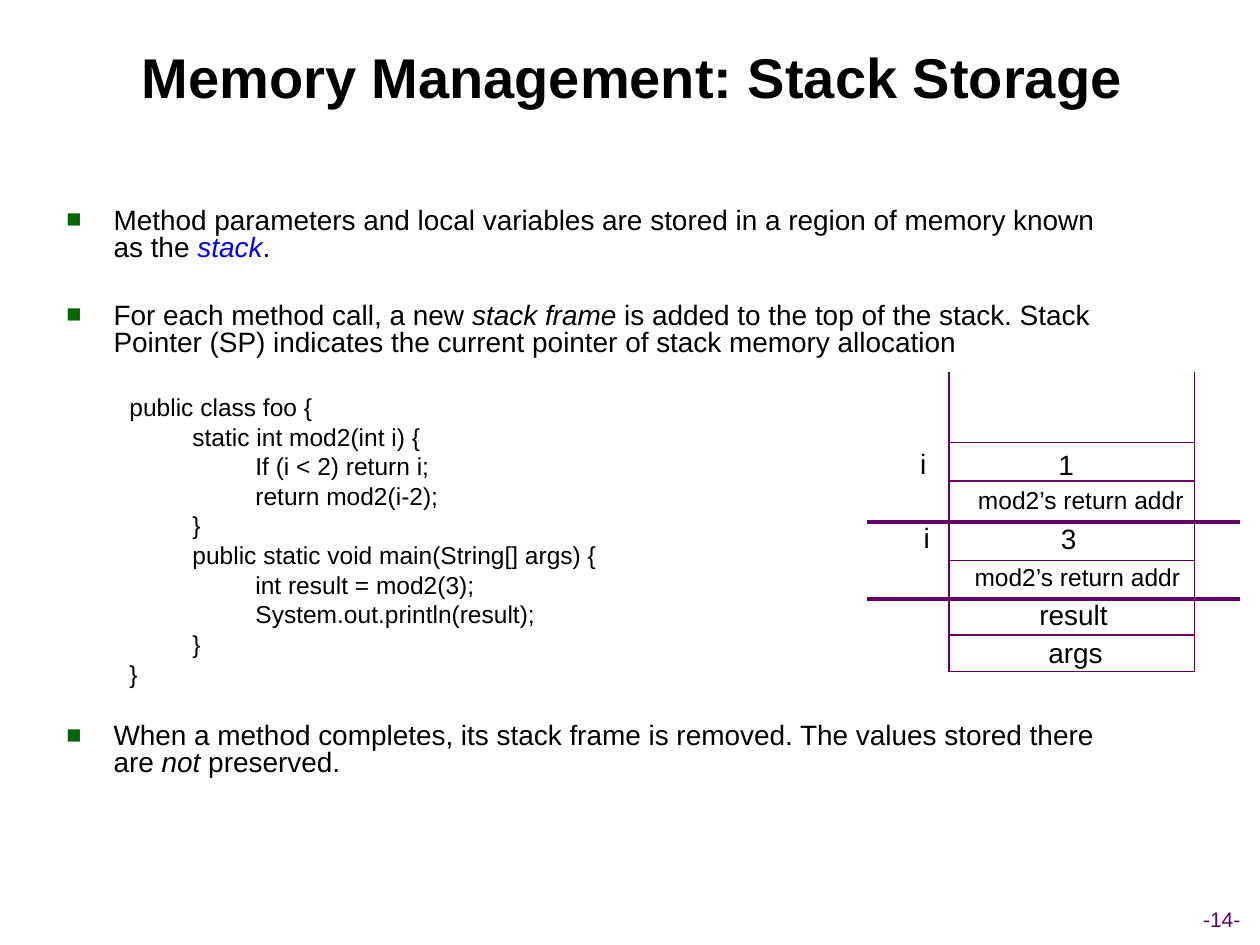
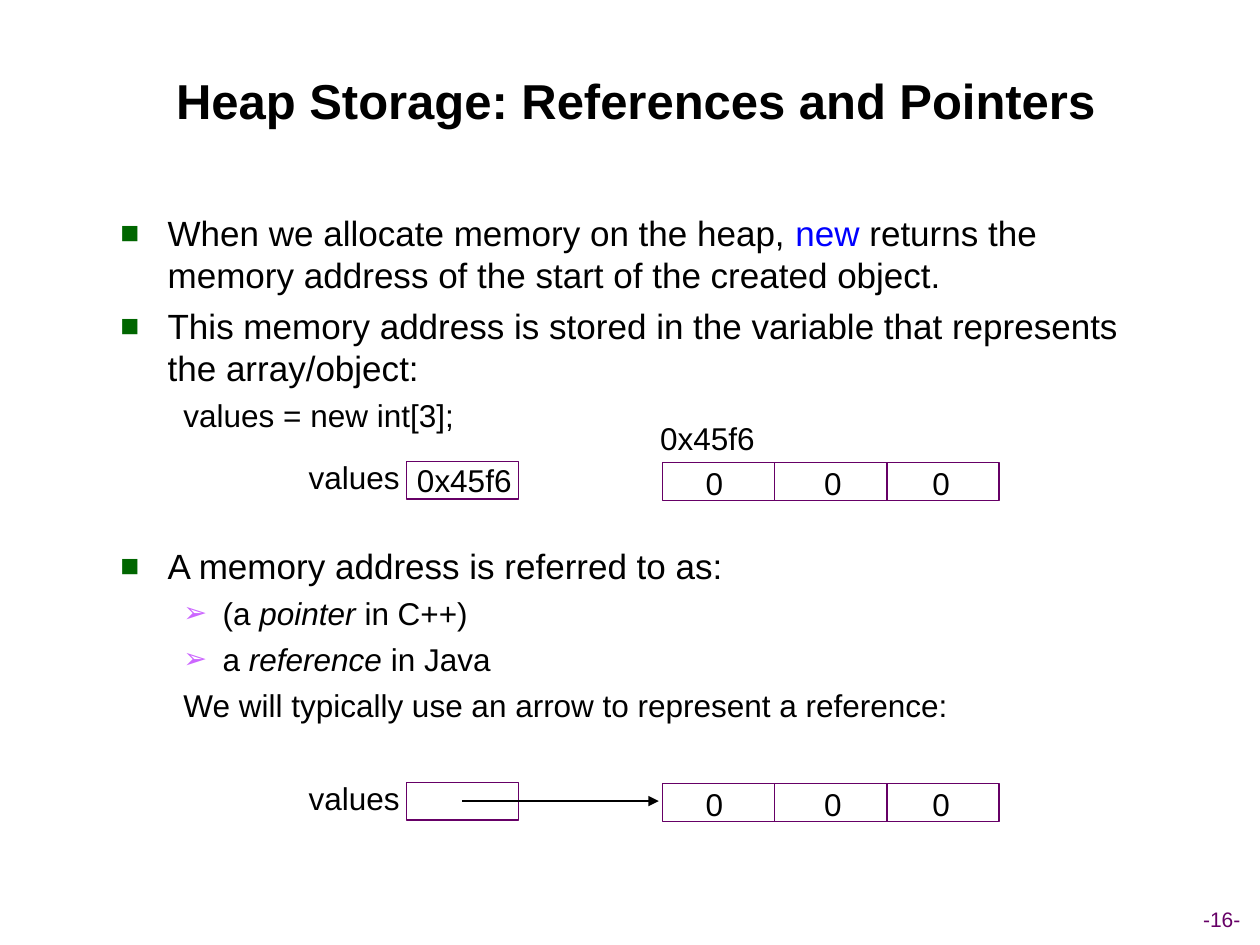
from lxml import etree
from pptx import Presentation
from pptx import util as u
from pptx.dml.color import RGBColor
from pptx.enum import shapes, text
from pptx.oxml.ns import qn

FONT = "Arial"
COLOURS = {
    "text": "000000",
    "keyword": "0000FF",
    "line": "660066",
    "square": "006600",
    "arrow": "CC66FF",
}
BULLETS = {"square": ("■", 0.95, 0.95), "arrow": ("➢", 2.06, 0.79)}
CODE_LEFT, CODE_STEP = 1.27, 1.27
KEYWORD = {"colour": "keyword"}
ITALIC = {"italic": True}


def write(paragraph, runs, size, colour="text", bold=False):
    for content, changes in runs:
        run = paragraph.add_run()
        run.text = content
        formats = {"name": FONT, "size": u.Pt(size), "bold": bold,
                   "italic": changes.get("italic", False)}
        for name, value in formats.items():
            setattr(run.font, name, value)
        run.font.color.rgb = RGBColor.from_string(COLOURS[changes.get("colour", colour)])


def draw_line(slide, left, top, right, bottom, width=0.75, colour="line"):
    line = slide.shapes.add_connector(
        shapes.MSO_CONNECTOR.STRAIGHT, u.Cm(left), u.Cm(top), u.Cm(right), u.Cm(bottom))
    line.line.width = u.Pt(width)
    line.line.color.rgb = RGBColor.from_string(COLOURS[colour])
    etree.SubElement(line._element.spPr, qn("a:effectLst"))
    return line


pages = [
    {
        "title": "Memory Management: Stack Storage", "number": "-14-",
        "title_size": 32, "title_at": (0.97, 0.33), "body_at": (1.09, 4.09), "spacing": 0.8,
        "body": [
            ("square", 16, 4, [
                ("Method parameters and local variables are stored in a region of memory known as the ", {}),
                ("stack", {"colour": "keyword", "italic": True}), (".", {})]),
            ("square", 16, 23.4, [
                ("For each method call, a new ", {}), ("stack frame ", ITALIC),
                ("is added to the top of the stack. Stack Pointer (SP) indicates "
                 "the current pointer of stack memory allocation", {})]),
            (0, 14, 22.9, [("public class foo {", {})]),
            (1, 14, 3.5, [("static int mod2(int i) {", {})]),
            (2, 14, 3.5, [("If (i < 2) return i;", {})]),
            (2, 14, 3.5, [("return mod2(i-2);", {})]),
            (1, 14, 3.5, [("}", {})]),
            (1, 14, 3.5, [("public static void main(String[] args) {", {})]),
            (2, 14, 3.5, [("int result = mod2(3);", {})]),
            (2, 14, 3.5, [("System.out.println(result);", {})]),
            (1, 14, 3.5, [("}", {})]),
            (0, 14, 3.5, [("}", {})]),
            ("square", 16, 20.9, [
                ("When a method completes, its stack frame is removed. The values stored there are ", {}),
                ("not ", ITALIC), ("preserved.", {})]),
        ],
    },
    {
        "title": "Heap Storage: References and Pointers", "number": "-16-",
        "title_size": 28, "title_at": (1.04, 0.81), "body_at": (2.18, 4.14), "spacing": 1.0,
        "body": [
            ("square", 20, 5, [
                ("When we allocate memory on the heap, ", {}), ("new", KEYWORD),
                (" returns the memory address of the start of the created object.", {})]),
            ("square", 20, 5, [
                ("This memory address is stored in the variable that represents the array/object:", {})]),
            (0, 18, 4.5, [("values = new int[3];", {})]),
            ("square", 20, 63, [("A memory address is referred to as:", {})]),
            ("arrow", 18, 4.5, [("(a ", {}), ("pointer ", ITALIC), ("in C++)", {})]),
            ("arrow", 18, 4.5, [("a ", {}), ("reference ", ITALIC), ("in Java", {})]),
            (0, 18, 4.5, [("We will typically use an arrow to represent a reference:", {})]),
        ],
    },
]

presentation = Presentation()
presentation.slide_width = u.Cm(25.4)
presentation.slide_height = u.Cm(19.05)
title_only = presentation.slide_layouts[5]
slides = []
labels = []

for page in pages:
    slide = presentation.slides.add_slide(title_only)
    slides.append(slide)

    title = slide.shapes.title
    title_left, title_top = page["title_at"]
    places = {"left": title_left, "top": title_top, "width": 23.55, "height": 2.41}
    for name, value in places.items():
        setattr(title, name, u.Cm(value))
    title.text_frame.vertical_anchor = text.MSO_ANCHOR.MIDDLE
    title.text_frame.auto_size = text.MSO_AUTO_SIZE.NONE
    heading = title.text_frame.paragraphs[0]
    heading.alignment = text.PP_ALIGN.CENTER
    write(heading, [(page["title"], {})], page["title_size"], bold=True)

    body_left, body_top = page["body_at"]
    body = slide.shapes.add_textbox(u.Cm(body_left), u.Cm(body_top), u.Cm(21.29), u.Cm(13.34))
    body.text_frame.word_wrap = True
    for index, (style, size, space, runs) in enumerate(page["body"]):
        paragraph = body.text_frame.add_paragraph() if index else body.text_frame.paragraphs[0]
        paragraph.line_spacing = page["spacing"]
        paragraph.space_before = u.Pt(space)
        properties = paragraph._p.get_or_add_pPr()
        if style in BULLETS:
            symbol, left, hanging = BULLETS[style]
            properties.set("indent", str(-u.Cm(hanging)))
            bullet_colour = etree.SubElement(properties, qn("a:buClr"))
            etree.SubElement(bullet_colour, qn("a:srgbClr"), val=COLOURS[style])
            etree.SubElement(properties, qn("a:buSzPct"), val="90000")
            etree.SubElement(properties, qn("a:buFont"), typeface=FONT)
            etree.SubElement(properties, qn("a:buChar"), char=symbol)
        else:
            left = CODE_LEFT + CODE_STEP * style
        properties.set("marL", str(u.Cm(left)))
        write(paragraph, runs, size)

    labels.append((slide, page["number"], 24.63, 18.15, 12, "line"))

stack_slide, heap_slide = slides

stack_left, stack_right = 19.13, 24.08
row_lines = [8.92, 9.7, 10.52, 11.3, 12.07, 12.8, 13.54]
for side in (stack_left, stack_right):
    draw_line(stack_slide, side, 7.5, side, 13.54)
for row_line in row_lines:
    draw_line(stack_slide, stack_left, row_line, stack_right, row_line)
for frame_line in (row_lines[2], row_lines[4]):
    draw_line(stack_slide, 17.48, frame_line, 25, frame_line, 2.5)

for content, centre, top, size in [
    ("i", 18.61, 8.88, 16), ("1", 21.49, 8.89, 16), ("mod2’s return addr", 21.79, 9.65, 14),
    ("i", 18.68, 10.36, 16), ("3", 21.54, 10.39, 16), ("mod2’s return addr", 21.72, 11.2, 14),
    ("result", 21.64, 11.93, 16), ("args", 21.68, 12.69, 16),
]:
    labels.append((stack_slide, content, centre, top, size, "text"))

cell_width, cell_height, array_left = 2.26, 0.76, 13.36
for row_top in (9.3, 15.77):
    cells = [(8.2, row_top)]
    cells += [(array_left + cell_width * column, row_top + 0.03) for column in range(3)]
    for left, top in cells:
        cell = heap_slide.shapes.add_shape(
            shapes.MSO_SHAPE.RECTANGLE, u.Cm(left), u.Cm(top), u.Cm(cell_width), u.Cm(cell_height))
        cell.shadow.inherit = False
        cell.fill.background()
        cell.line.width = u.Pt(0.75)
        cell.line.color.rgb = RGBColor.from_string(COLOURS["line"])
    labels.append((heap_slide, "values", 7.14, row_top - 0.19, 18, "text"))
    for centre in (14.4, 16.79, 18.97):
        labels.append((heap_slide, "0", centre, row_top - 0.07, 18, "text"))

for centre, top in ((9.36, 9.17), (14.26, 8.33)):
    labels.append((heap_slide, "0x45f6", centre, top, 18, "text"))

reference = draw_line(heap_slide, 9.32, 16.15, 13.28, 16.15, colour="text")
etree.SubElement(reference.line._get_or_add_ln(), qn("a:tailEnd"), type="triangle")

for slide, content, centre, top, size, colour in labels:
    label_width = u.Pt(len(content) * size * 0.6 + 14.4)
    label = slide.shapes.add_textbox(
        u.Cm(centre) - label_width // 2, u.Cm(top), label_width, u.Pt(size * 1.2 + 7.2))
    label.text_frame.word_wrap = False
    paragraph = label.text_frame.paragraphs[0]
    paragraph.alignment = text.PP_ALIGN.CENTER
    write(paragraph, [(content, {})], size, colour)

presentation.save("out.pptx")
